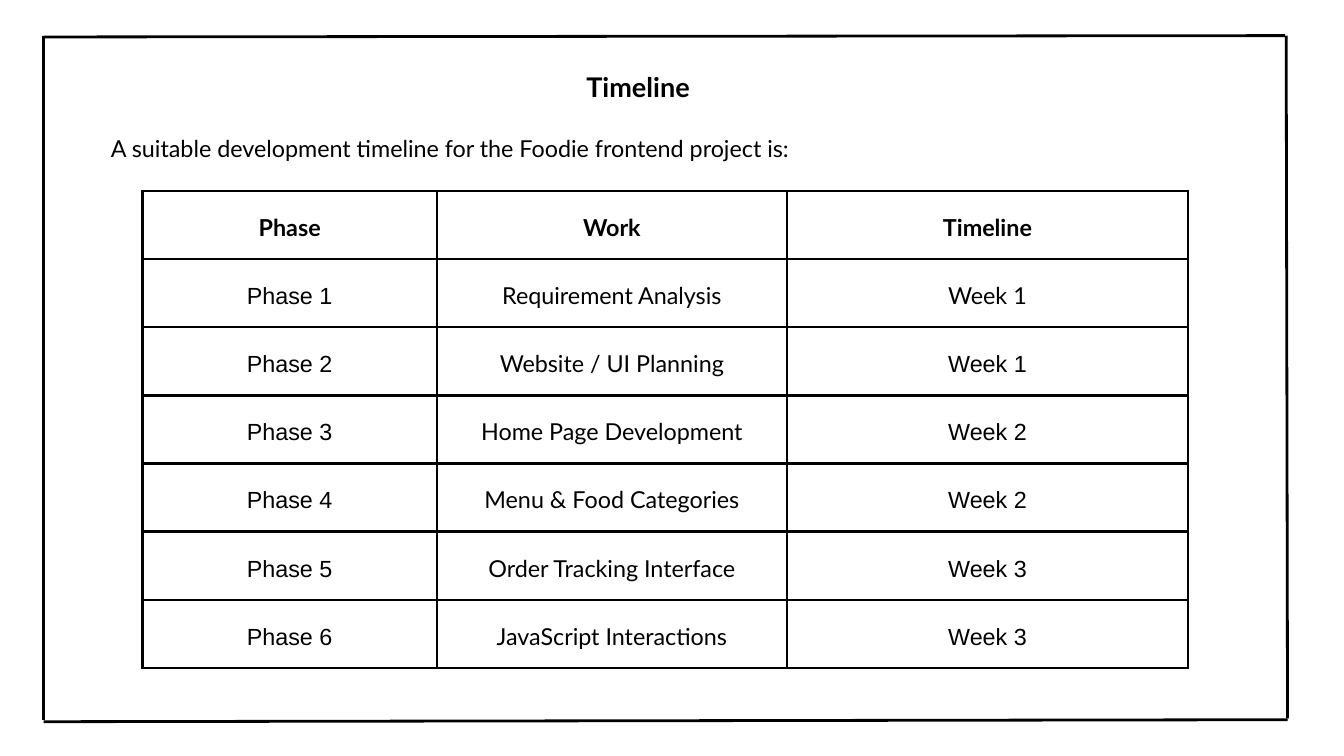
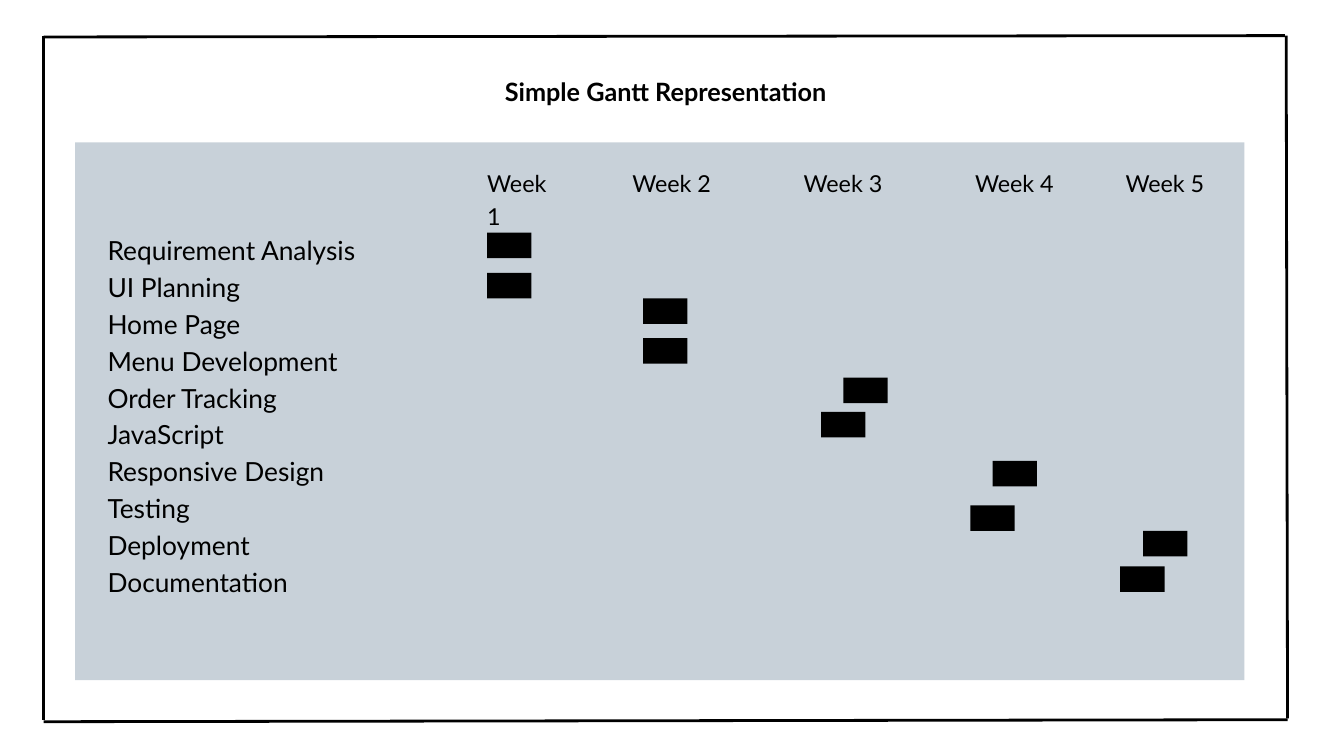
from lxml.etree import SubElement
from pptx import Presentation
from pptx.dml.color import RGBColor
from pptx.enum.shapes import MSO_CONNECTOR, MSO_SHAPE
from pptx.enum.text import MSO_ANCHOR, MSO_AUTO_SIZE, PP_ALIGN
from pptx.oxml.ns import qn
from pptx.util import Emu, Pt

EMU_PER_PX = 9144
SLIDE_WIDTH, SLIDE_HEIGHT = 2000, 1125
BLACK, PANEL_GREY = "000000", "C8D1D9"
LATO, ARIAL = "Lato", "Arial"
LINE_POINTS = 3

FRAME_LINES = [
    (65, 53, 65, 1071),
    (65, 55, 1912, 53),
    (1916, 1069, 1914, 53),
    (65, 1074, 1916, 1071),
]

INTRODUCTION = "A suitable development timeline for the Foodie frontend project is:"
PHASES = [
    ("Phase", "Work", "Timeline"),
    ("Phase 1", "Requirement Analysis", "Week 1"),
    ("Phase 2", "Website / UI Planning", "Week 1"),
    ("Phase 3", "Home Page Development", "Week 2"),
    ("Phase 4", "Menu & Food Categories", "Week 2"),
    ("Phase 5", "Order Tracking Interface", "Week 3"),
    ("Phase 6", "JavaScript Interactions", "Week 3"),
]
COLUMN_WIDTHS = [438, 521, 597]
COLUMN_FONTS = [ARIAL, LATO, ARIAL]
FONT_EXCEPTIONS = {(1, 2): LATO}
TABLE_LEFT, TABLE_TOP, TABLE_HEIGHT = 212, 284, 710
CELL_MARGIN = 21

TASK_BARS = [
    ("Requirement Analysis", 725, 346),
    ("UI Planning", 725, 406),
    ("Home Page", 957, 444),
    ("Menu Development", 957, 503),
    ("Order Tracking", 1255, 562),
    ("JavaScript", 1222, 613),
    ("Responsive Design", 1477, 686),
    ("Testing", 1444, 752),
    ("Deployment", 1701, 790),
    ("Documentation", 1667, 843),
]
BAR_WIDTH, BAR_HEIGHT = 66, 38
PANEL_BOX = (112, 212, 1740, 800)
WEEK_TOP, WEEK_HEIGHT = 245, 46
WEEKS = [
    ("Week 1", 725, 115, PP_ALIGN.LEFT),
    ("Week 2", 130, 1739, PP_ALIGN.CENTER),
    ("Week 3", 385, 1739, PP_ALIGN.CENTER),
    ("Week 4", 640, 1739, PP_ALIGN.CENTER),
    ("Week 5", 864, 1739, PP_ALIGN.CENTER),
]


def px(length):
    return Emu(round(length * EMU_PER_PX))


def color(value):
    return RGBColor.from_string(value)


def format_paragraph(paragraph, size, spacing, alignment, font_name=LATO, bold=False):
    paragraph.alignment = alignment
    paragraph.line_spacing = Pt(spacing)
    font = paragraph.font
    font.name, font.size, font.bold = font_name, Pt(size), bold
    font.color.rgb = color(BLACK)


def fill_text(shape, box, lines, size, spacing, alignment, bold=False):
    shape.left, shape.top, shape.width, shape.height = map(px, box)
    frame = shape.text_frame
    frame.word_wrap = True
    frame.auto_size = MSO_AUTO_SIZE.NONE
    frame.vertical_anchor = MSO_ANCHOR.TOP
    frame.margin_left = frame.margin_top = frame.margin_right = frame.margin_bottom = 0
    frame.text = "\n".join(lines)
    for paragraph in frame.paragraphs:
        format_paragraph(paragraph, size, spacing, alignment, bold=bold)


def add_text(slide, box, lines, size, spacing, alignment):
    shape = slide.shapes.add_textbox(*map(px, box))
    fill_text(shape, box, lines, size, spacing, alignment)


def add_rectangle(slide, box, fill):
    shape = slide.shapes.add_shape(MSO_SHAPE.RECTANGLE, *map(px, box))
    shape.shadow.inherit = False
    shape.fill.solid()
    shape.fill.fore_color.rgb = color(fill)
    shape.line.fill.background()


def add_framed_slide(presentation, title, title_box, size, spacing):
    slide = presentation.slides.add_slide(presentation.slide_layouts[5])
    for ends in FRAME_LINES:
        connector = slide.shapes.add_connector(MSO_CONNECTOR.STRAIGHT, *map(px, ends))
        connector.line.color.rgb = color(BLACK)
        connector.line.width = Pt(LINE_POINTS)
        SubElement(connector._element.spPr, qn("a:effectLst"))
    fill_text(slide.shapes.title, title_box, [title], size, spacing, PP_ALIGN.CENTER, bold=True)
    return slide


def add_cell_borders(cell):
    properties = cell._tc.get_or_add_tcPr()
    for position, side in enumerate(("lnL", "lnR", "lnT", "lnB")):
        border = properties.makeelement(qn(f"a:{side}"), {"w": str(Pt(LINE_POINTS))})
        fill = SubElement(border, qn("a:solidFill"))
        SubElement(fill, qn("a:srgbClr"), val=BLACK)
        properties.insert(position, border)


def add_phase_table(slide):
    box = (TABLE_LEFT, TABLE_TOP, sum(COLUMN_WIDTHS), TABLE_HEIGHT)
    table = slide.shapes.add_table(len(PHASES), len(COLUMN_WIDTHS), *map(px, box)).table
    table.first_row = table.horz_banding = False
    for column, width in zip(table.columns, COLUMN_WIDTHS):
        column.width = px(width)
    for row_index, values in enumerate(PHASES):
        table.rows[row_index].height = px(TABLE_HEIGHT / len(PHASES))
        is_header = row_index == 0
        for column_index, value in enumerate(values):
            cell = table.cell(row_index, column_index)
            cell.text = value
            cell.fill.background()
            cell.vertical_anchor = MSO_ANCHOR.MIDDLE
            cell.margin_left = cell.margin_right = px(CELL_MARGIN)
            cell.margin_top = cell.margin_bottom = px(CELL_MARGIN)
            column_font = LATO if is_header else COLUMN_FONTS[column_index]
            font_name = FONT_EXCEPTIONS.get((row_index, column_index), column_font)
            format_paragraph(cell.text_frame.paragraphs[0], 25, 35, PP_ALIGN.CENTER,
                             font_name, is_header)
            add_cell_borders(cell)


def build_timeline(presentation):
    slide = add_framed_slide(presentation, "Timeline", (865, 97, 169, 54), 29, 40.6)
    add_phase_table(slide)
    add_text(slide, (112, 192, 1115, 46), [INTRODUCTION], 25, 35, PP_ALIGN.CENTER)


def build_gantt(presentation):
    slide = add_framed_slide(presentation, "Simple Gantt Representation",
                             (725, 106, 531, 51), 27, 37.8)
    add_rectangle(slide, PANEL_BOX, PANEL_GREY)
    tasks = [task for task, left, top in TASK_BARS]
    add_text(slide, (160, 341, 1245, 540), tasks, 28.2, 39.5, PP_ALIGN.LEFT)
    for week, left, width, alignment in WEEKS:
        add_text(slide, (left, WEEK_TOP, width, WEEK_HEIGHT), [week], 25, 35, alignment)
    for task, left, top in TASK_BARS:
        add_rectangle(slide, (left, top, BAR_WIDTH, BAR_HEIGHT), BLACK)


def main():
    presentation = Presentation()
    presentation.slide_width = px(SLIDE_WIDTH)
    presentation.slide_height = px(SLIDE_HEIGHT)
    build_timeline(presentation)
    build_gantt(presentation)
    presentation.save("out.pptx")


if __name__ == "__main__":
    main()
